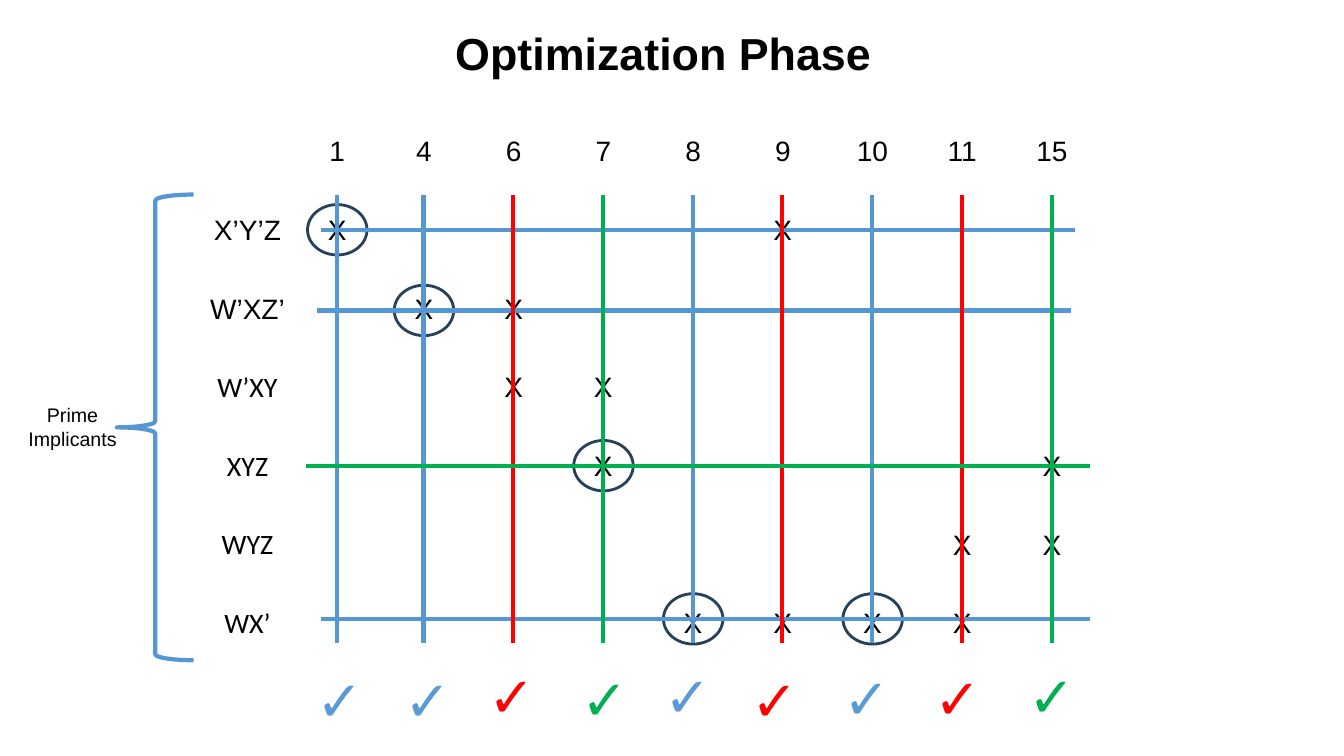
from dataclasses import dataclass
from pptx import Presentation
from pptx.dml.color import RGBColor
from pptx.enum.shapes import MSO_CONNECTOR, MSO_SHAPE
from pptx.enum.text import MSO_ANCHOR, MSO_AUTO_SIZE, PP_ALIGN
from pptx.oxml.ns import qn
from pptx.util import Emu, Pt
from lxml.etree import SubElement

EMU_PER_PX = 9144


@dataclass(frozen=True)
class Theme:
    font: str = "Arial"
    label_font: str = "Calibri"
    black: str = "000000"
    blue: str = "5597D3"
    check_blue: str = "5B9BD5"
    red: str = "FF0000"
    green: str = "00B050"
    navy: str = "264159"
    title_size: int = 32
    check_size: int = 40
    cell_size: int = 20
    note_size: int = 14
    strike_width: int = 3
    ring_width: int = 2


THEME = Theme()
TABLE_LEFT, TABLE_TOP = 198, 112
COLUMN_WIDTHS = [95, 83] + [89] * 8
ROW_HEIGHT = 78
STRIKE_TOP, STRIKE_BOTTOM = 193, 638
RING_WIDTH, RING_HEIGHT = 59, 50
CHECK_WIDTH, CHECK_HEIGHT = 69, 77

MINTERMS = [
    (1, THEME.blue, 304, 655),
    (4, THEME.blue, 391, 655),
    (6, THEME.red, 475, 651),
    (7, THEME.green, 567, 654),
    (8, THEME.blue, 649, 651),
    (9, THEME.red, 736, 655),
    (10, THEME.blue, 827, 653),
    (11, THEME.red, 917, 653),
    (15, THEME.green, 1010, 651),
]
IMPLICANTS = [
    ("X’Y’Z", THEME.font, (1, 9)),
    ("W’XZ’", THEME.font, (4, 6)),
    ("W’XY", THEME.label_font, (6, 7)),
    ("XYZ", THEME.label_font, (7, 15)),
    ("WYZ", THEME.label_font, (11, 15)),
    ("WX’", THEME.label_font, (8, 9, 10, 11)),
]
CHOSEN_ROWS = [
    (228, 318, 1066, THEME.blue, (1,)),
    (308, 314, 1062, THEME.blue, (4,)),
    (614, 318, 1081, THEME.blue, (8, 10)),
    (462, 304, 1081, THEME.green, (7,)),
]
COLUMN_OF = {minterm[0]: index for index, minterm in enumerate(MINTERMS, 1)}


def px(*lengths):
    return [Emu(length * EMU_PER_PX) for length in lengths]


def column_center(minterm):
    column = COLUMN_OF[minterm]
    return TABLE_LEFT + sum(COLUMN_WIDTHS[:column]) + COLUMN_WIDTHS[column] // 2


def write(frame, text, size, font=THEME.font, color=THEME.black, bold=False,
          align=PP_ALIGN.CENTER):
    for index, words in enumerate(text.split("\n")):
        para = frame.add_paragraph() if index else frame.paragraphs[0]
        para.alignment = align
        span = para.add_run()
        span.text = words
        span.font.name = font
        span.font.size = Pt(size)
        span.font.bold = bold
        span.font.color.rgb = RGBColor.from_string(color)


def add_text(page, place, text, wrap=False, **style):
    frame = page.shapes.add_textbox(*px(*place)).text_frame
    frame.word_wrap = wrap
    frame.auto_size = MSO_AUTO_SIZE.SHAPE_TO_FIT_TEXT
    write(frame, text, **style)


def set_line(item, color, width):
    item.line.color.rgb = RGBColor.from_string(color)
    item.line.width = Pt(width)


def add_outline(page, kind, place, color, width):
    shape = page.shapes.add_shape(kind, *px(*place))
    shape.shadow.inherit = False
    shape.fill.background()
    set_line(shape, color, width)
    return shape


def add_strike(page, start, end, color):
    line = page.shapes.add_connector(MSO_CONNECTOR.STRAIGHT, *px(*start, *end))
    set_line(line, color, THEME.strike_width)
    SubElement(line._element.spPr, qn("a:effectLst"))


def add_ring(page, center_x, center_y):
    place = (center_x - RING_WIDTH // 2, center_y - RING_HEIGHT // 2, RING_WIDTH, RING_HEIGHT)
    add_outline(page, MSO_SHAPE.OVAL, place, THEME.navy, THEME.ring_width)


def add_cover_table(page):
    row_count = len(IMPLICANTS) + 1
    place = px(TABLE_LEFT, TABLE_TOP, sum(COLUMN_WIDTHS), ROW_HEIGHT * row_count)
    table = page.shapes.add_table(row_count, len(COLUMN_WIDTHS), *place).table
    table.first_row = False
    table.horz_banding = False
    for column, width in zip(table.columns, px(*COLUMN_WIDTHS)):
        column.width = width
    for cell in table.iter_cells():
        cell.fill.background()
        cell.vertical_anchor = MSO_ANCHOR.MIDDLE
    for minterm, column in COLUMN_OF.items():
        write(table.cell(0, column).text_frame, str(minterm), THEME.cell_size)
    for row, (label, font, covered) in enumerate(IMPLICANTS, 1):
        write(table.cell(row, 0).text_frame, label, THEME.cell_size, font=font)
        for minterm in covered:
            write(table.cell(row, COLUMN_OF[minterm]).text_frame, "X", THEME.cell_size)


def add_strikes(page, color):
    for minterm, strike_color, *_ in MINTERMS:
        if strike_color == color:
            center = column_center(minterm)
            add_strike(page, (center, STRIKE_TOP), (center, STRIKE_BOTTOM), color)
    for height, left, right, strike_color, _ in CHOSEN_ROWS:
        if strike_color == color:
            add_strike(page, (left, height), (right, height), color)


def add_checks(page):
    for _, color, left, top in MINTERMS:
        check_color = THEME.check_blue if color == THEME.blue else color
        add_text(page, (left, top, CHECK_WIDTH, CHECK_HEIGHT), "✓", wrap=True,
                 size=THEME.check_size, color=check_color, align=PP_ALIGN.LEFT)


def main():
    deck = Presentation()
    deck.slide_width, deck.slide_height = px(1333, 750)
    page = deck.slides.add_slide(deck.slide_layouts[6])

    add_cover_table(page)
    for height, _, _, _, essential in CHOSEN_ROWS:
        for minterm in essential:
            add_ring(page, column_center(minterm), height)
    for color in (THEME.blue, THEME.red, THEME.green):
        add_strikes(page, color)
    add_checks(page)

    brace = add_outline(page, MSO_SHAPE.LEFT_BRACE, (116, 193, 76, 462),
                        THEME.blue, THEME.strike_width)
    brace.adjustments[0] = 0.08
    add_text(page, (18, 395, 108, 57), "Prime\nImplicants", size=THEME.note_size)
    add_text(page, (440, 21, 436, 64), "Optimization Phase", size=THEME.title_size, bold=True)
    deck.save("out.pptx")


if __name__ == "__main__":
    main()
